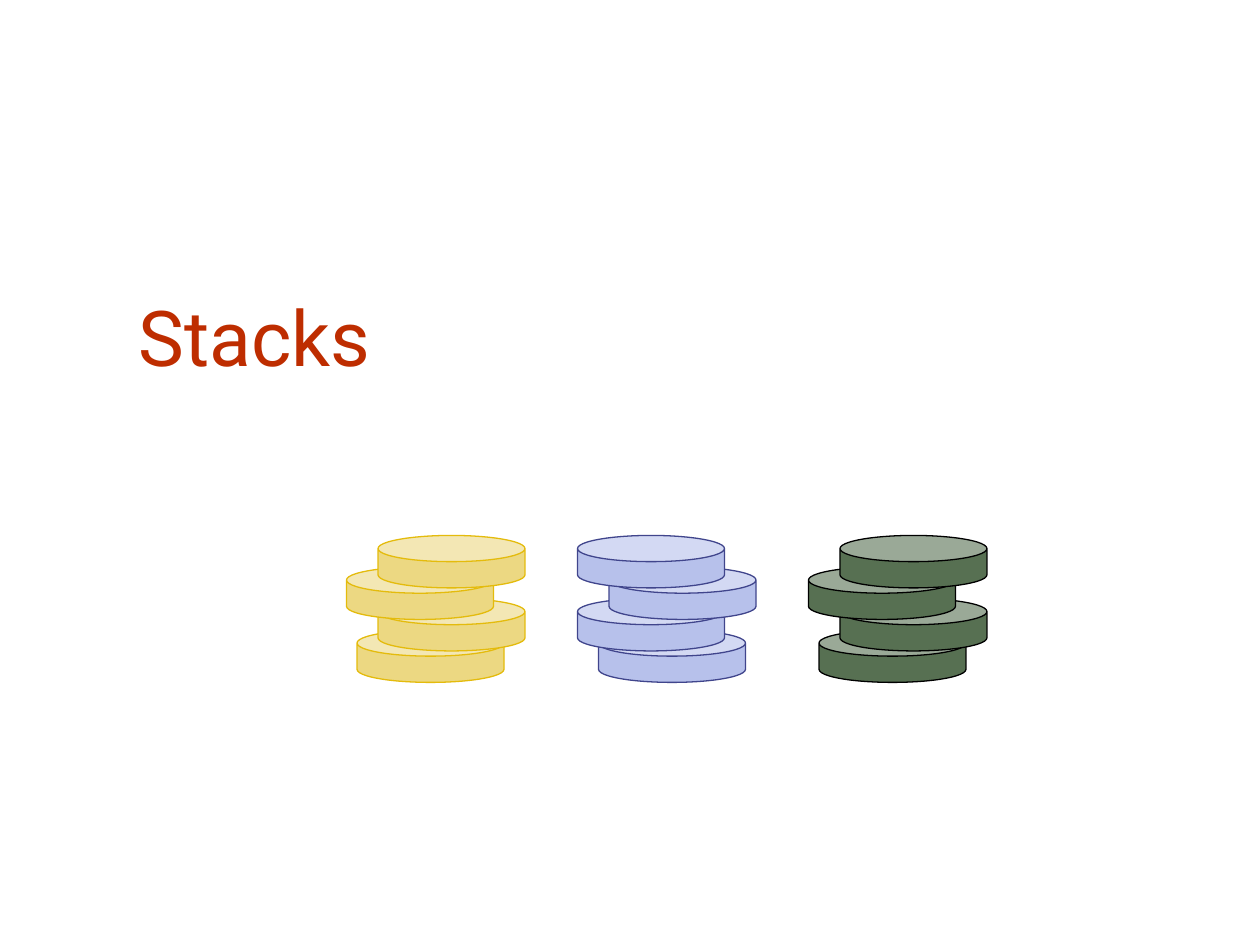
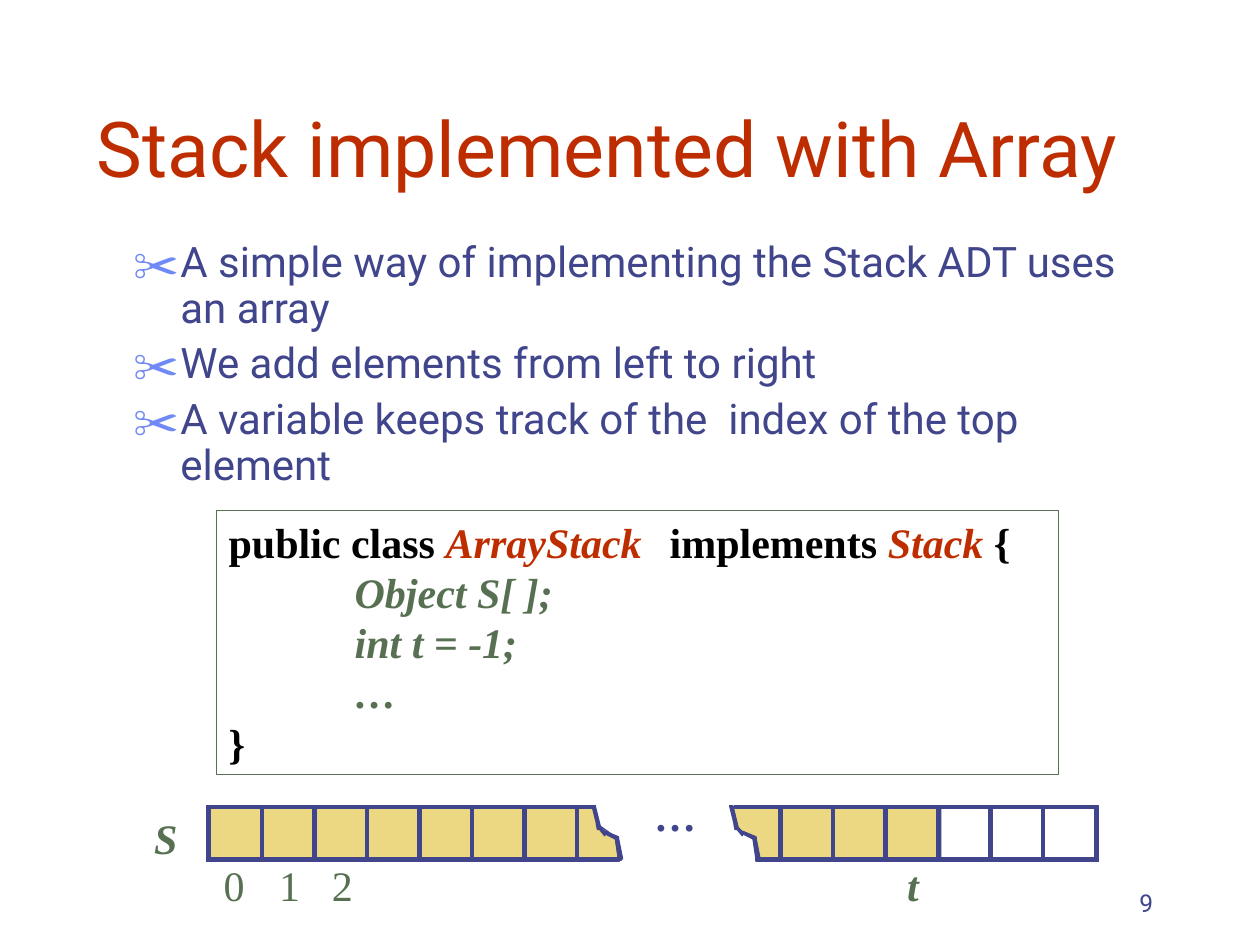
from lxml.etree import SubElement
from pptx import Presentation
from pptx.dml.color import RGBColor
from pptx.enum.shapes import MSO_SHAPE as SHAPE
from pptx.enum.text import MSO_ANCHOR as ANCHOR, MSO_AUTO_SIZE as AUTO, PP_ALIGN as ALIGN
from pptx.oxml.ns import qn
from pptx.util import Pt

PX = 7620
C = {"title": "BE2D00", "navy": "40458C", "bullet": "6F89F7", "gold": "ECD882",
     "gold_line": "E4BB0C", "lilac": "B7C1EB", "green": "577052", "black": "000000"}
SANS, SERIF, SYMBOLS = "Roboto", "Times New Roman", "Noto Sans Symbols"


def px(*values):
    return [round(v * PX) for v in values]


class Deck:
    def __init__(self):
        self.prs = Presentation()
        self.prs.slide_width, self.prs.slide_height = px(1200, 900)
        self.s = None

    def rgb(self, name):
        return RGBColor.from_string(C[name])

    def slide(self, title, box):
        self.s = self.prs.slides.add_slide(self.prs.slide_layouts[5])
        sp = self.s.shapes.title
        sp.left, sp.top, sp.width, sp.height = px(*box)
        tf = sp.text_frame
        tf.text = title
        tf.auto_size = AUTO.NONE
        tf.vertical_anchor = ANCHOR.BOTTOM
        p = tf.paragraphs[0]
        p.alignment = ALIGN.LEFT
        self.font(p.runs[0], 44, "title")

    def font(self, r, size, color, name=SANS, bold=False, italic=False):
        f = r.font
        f.size, f.name, f.bold, f.italic = Pt(size), name, bold, italic
        f.color.rgb = self.rgb(color)

    def paint(self, sp, fill, line):
        sp.shadow.inherit = False
        if fill:
            sp.fill.solid()
            sp.fill.fore_color.rgb = self.rgb(fill)
        else:
            sp.fill.background()
        sp.line.color.rgb = self.rgb(line)
        sp.line.width = Pt(0.75)
        return sp

    def shape(self, kind, box, fill, line, parent=None):
        shapes = (parent or self.s).shapes
        return self.paint(shapes.add_shape(kind, *px(*box)), fill, line)

    def bar(self, *box):
        self.shape(SHAPE.RECTANGLE, box, "navy", "navy")

    def outline(self, points, fill, line):
        fb = self.s.shapes.build_freeform(*points[0], scale=PX)
        fb.add_line_segments(points[1:], close=True)
        self.paint(fb.convert_to_shape(), fill, line)

    def text(self, text, box, size, color, name=SANS, bold=False, italic=False,
             align=ALIGN.LEFT, anchor=ANCHOR.TOP, inset=True, wrap=True):
        tf = self.s.shapes.add_textbox(*px(*box)).text_frame
        tf.text = text
        tf.word_wrap = wrap
        tf.vertical_anchor = anchor
        if not inset:
            tf.margin_left = tf.margin_top = tf.margin_right = tf.margin_bottom = 0
        for p in tf.paragraphs:
            p.alignment = align
            for r in p.runs:
                self.font(r, size, color, name, bold, italic)
        return tf

    def bullets(self, items, box):
        indent, = px(45)
        for p in self.text("\n".join(items), box, 24, "navy").paragraphs:
            p.line_spacing = 0.9
            p.space_before = Pt(6)
            pPr = p._p.get_or_add_pPr()
            pPr.set("marL", str(indent))
            pPr.set("indent", str(-indent))
            SubElement(SubElement(pPr, qn("a:buClr")), qn("a:srgbClr"), val=C["bullet"])
            SubElement(pPr, qn("a:buSzPct"), val="110000")
            SubElement(pPr, qn("a:buFont"), typeface=SYMBOLS)
            SubElement(pPr, qn("a:buChar"), char="✂")

    def code(self, lines, box, tab):
        sp = self.shape(SHAPE.RECTANGLE, box, None, "green")
        tf = sp.text_frame
        tf.word_wrap = True
        tf.vertical_anchor = ANCHOR.TOP
        for i, (indent, runs) in enumerate(lines):
            p = tf.add_paragraph() if i else tf.paragraphs[0]
            p.alignment = ALIGN.LEFT
            p.line_spacing = Pt(28.7)
            pPr = p._p.get_or_add_pPr()
            pPr.set("marL", str(indent * PX))
            SubElement(SubElement(pPr, qn("a:tabLst")), qn("a:tab"),
                       pos=str(tab * PX), algn="l")
            for text, color in runs:
                r = p.add_run()
                r.text = text
                self.font(r, 24, color, SERIF, True, color != "black")

    def coins(self, left, fill, line, mirrored):
        group = self.s.shapes.add_group_shape()
        for i, shift in enumerate((10, 30, 0, 30)):
            x = left + (30 - shift if mirrored else shift)
            sp = self.shape(SHAPE.CAN, (x, 600 - 30 * i, 140, 50), fill, line, group)
            sp.adjustments[0] = 0.5


def title_slide(d):
    d.slide("Stacks", (120, 220, 1020, 150))
    stacks = [("gold", "gold_line"), ("lilac", "navy"), ("green", "black")]
    for i, (fill, line) in enumerate(stacks):
        d.coins(330 + 220 * i, fill, line, mirrored=i == 1)


def draw_tear(d, x, y):
    bands = [
        [(3, 0), (7, 16), (8, 20), (13, 25), (13, 24), (12, 28), (7, 22), (5, 22),
         (4, 17), (4, 16), (0, 0)],
        [(13, 24), (25, 29), (25, 30), (22, 30), (24, 32), (12, 26)],
        [(25, 30), (22, 30), (25, 50), (29, 50)]]
    for band in bands:
        d.outline([(x + dx, y + dy) for dx, dy in band], "navy", "navy")
    for box in ((0, -1, 3, 1), (25, 50, 3, 1), (2, -1, 1, 3), (25, 49, 1, 3)):
        d.bar(x + box[0], y + box[1], *box[2:])


def draw_array(d):
    cell, top, left, right, thick = 50, 768, 197, 1043, 3
    bottom = top + cell
    d.outline([(896, bottom), (896, top), (698, top), (703, 790), (720, 798),
               (722, bottom)], "gold", "navy")
    d.outline([(198, top), (198, bottom), (589, bottom), (586, 797), (569, 785),
               (566, top)], "gold", "navy")
    for start, end, y in ((left, 566, top), (left, 589, bottom),
                          (700, right + thick, top), (721, right + thick, bottom)):
        d.bar(start, y - 1, end - start, thick)
    for x in (left, right):
        d.bar(x, top, thick, cell + 2)
    for start, count in ((248, 7), (742, 6)):
        for i in range(count):
            for y, h in ((top - 1, 1), (bottom, 1), (top, cell)):
                d.bar(start + cell * i, y, thick, h)
    for x in (564, 695):
        draw_tear(d, x, top)

    label = {"name": SERIF, "inset": False}
    name = {"bold": True, "italic": True, "align": ALIGN.CENTER, **label}
    d.text("S", (139, 774, 38, 48), 24, "green", **name)
    d.text("t", (851, 819, 37, 48), 24, "green", **name)
    for i, x in enumerate((213, 266, 316)):
        d.text(str(i), (x, 819, 20, 48), 24, "green", wrap=False, **label)
    d.text("…", (623, 752, 40, 48), 24, "navy", bold=True, wrap=False, **label)


def array_slide(d):
    d.slide("Stack implemented with Array", (80, 40, 1086, 150))
    d.text("9", (860, 820, 250, 60), 14, "navy", align=ALIGN.RIGHT, anchor=ANCHOR.BOTTOM)
    d.bullets(["A simple way of implementing the Stack ADT uses an array",
               "We add elements from left to right",
               "A variable keeps track of the  index of the top element"],
              (115, 224, 998, 440))
    draw_array(d)
    d.code([(0, [("public class ", "black"), ("ArrayStack\t", "title"),
                 ("implements ", "black"), ("Stack ", "title"), ("{", "black")]),
            (120, [("Object S[ ];", "green")]),
            (120, [("int t = -1;", "green")]),
            (120, [("…", "green")]),
            (0, [("}", "black")])],
           (206, 486, 802, 252), tab=420)


def main():
    d = Deck()
    title_slide(d)
    array_slide(d)
    d.prs.save("out.pptx")


if __name__ == "__main__":
    main()
